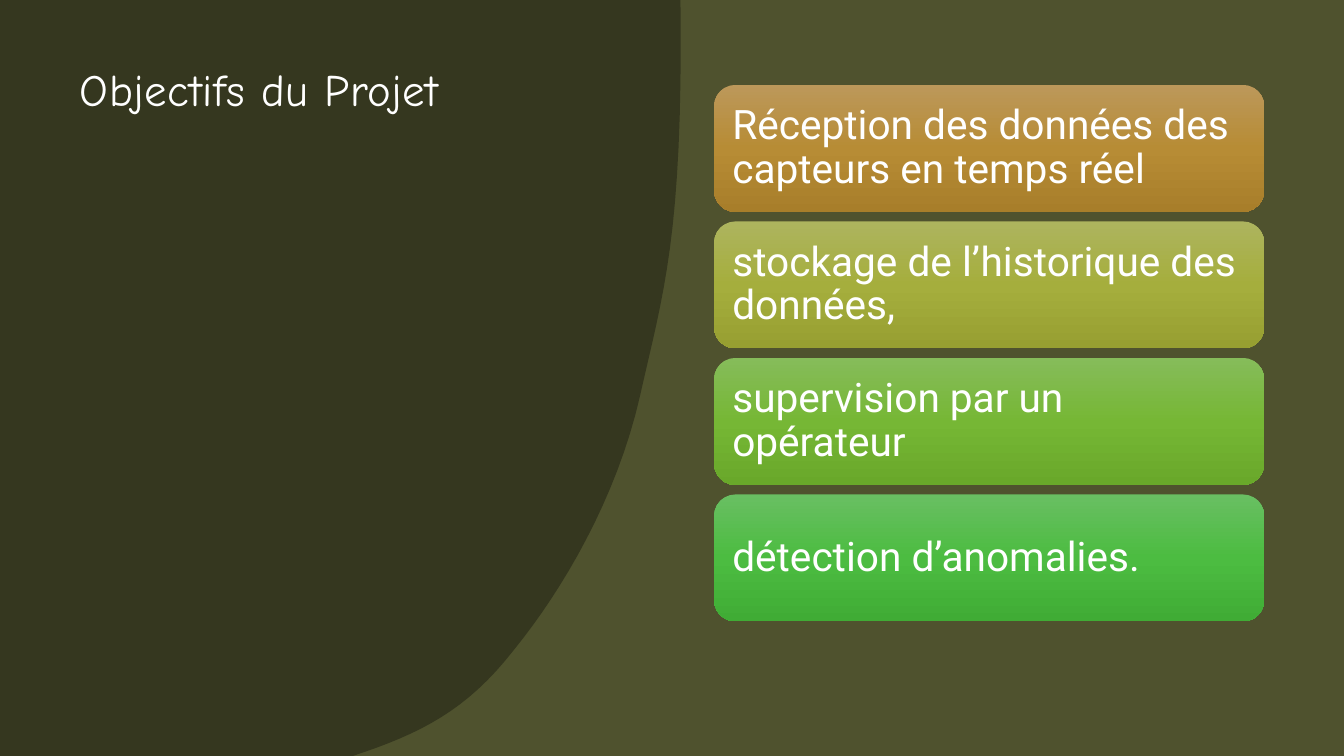
from copy import deepcopy
from dataclasses import dataclass

from pptx import Presentation
from pptx.dml.color import RGBColor
from pptx.enum.shapes import MSO_SHAPE
from pptx.enum.text import MSO_ANCHOR, MSO_AUTO_SIZE, PP_ALIGN
from pptx.oxml.ns import qn
from pptx.shapes.autoshape import Shape
from pptx.slide import Slide
from pptx.text.text import TextFrame
from pptx.util import Cm, Pt

RECTANGLE = MSO_SHAPE.RECTANGLE
ROUNDED = MSO_SHAPE.ROUNDED_RECTANGLE
TOP, MIDDLE = MSO_ANCHOR.TOP, MSO_ANCHOR.MIDDLE
LEFT = PP_ALIGN.LEFT
NO_AUTOFIT = MSO_AUTO_SIZE.NONE

WHITE = RGBColor(0xFF, 0xFF, 0xFF)
DARK_OLIVE = RGBColor(0x35, 0x37, 0x1F)
OLIVE = RGBColor(0x4F, 0x52, 0x2E)
OCHRES = (RGBColor(0xBC, 0x98, 0x5A), RGBColor(0xB7, 0x8C, 0x35), RGBColor(0xA8, 0x7E, 0x2A))
LIMES = (RGBColor(0xAD, 0xB4, 0x5E), RGBColor(0xA5, 0xAE, 0x3D), RGBColor(0x97, 0x9F, 0x31))
LEAVES = (RGBColor(0x86, 0xBC, 0x5A), RGBColor(0x76, 0xB7, 0x35), RGBColor(0x69, 0xA8, 0x2A))
GREENS = (RGBColor(0x69, 0xBF, 0x62), RGBColor(0x4C, 0xBC, 0x41), RGBColor(0x40, 0xAC, 0x35))

SLIDE_WIDTH, SLIDE_HEIGHT = Cm(33.87), Cm(19.05)
CARD_LEFT, CARD_TOP = 18.0, 2.14
CARD_WIDTH, CARD_HEIGHT, CARD_PITCH = 13.86, 3.2, 3.44
CURVE_STEPS = 16

Point = tuple[float, float]


@dataclass(frozen=True)
class Objective:
    text: str
    shades: tuple[RGBColor, RGBColor, RGBColor]


@dataclass(frozen=True)
class Curve:
    start: Point
    control_out: Point
    control_in: Point
    end: Point

    def at(self, t: float) -> Point:
        u = 1 - t
        weights = (u**3, 3 * u * u * t, 3 * u * t * t, t**3)
        corners = (self.start, self.control_out, self.control_in, self.end)
        x, y = (sum(w * c[axis] for w, c in zip(weights, corners)) for axis in (0, 1))
        return x, y


OBJECTIVES = (
    Objective("Réception des données des capteurs en temps réel", OCHRES),
    Objective("stockage de l’historique des données,", LIMES),
    Objective("supervision par un opérateur", LEAVES),
    Objective("détection d’anomalies.", GREENS),
)

PANEL_EDGE = (
    Curve((17.15, 0), (17.22, 5.97), (16.71, 7.39), (16.13, 9.98)),
    Curve((16.13, 9.98), (15.54, 12.57), (14.17, 14.88), (12.95, 16.38)),
    Curve((12.95, 16.38), (11.76, 17.91), (10.59, 18.49), (8.89, 19.05)),
)


def write_text(frame: TextFrame, text: str, *, font: str, size: float,
               line_spacing: float, anchor: MSO_ANCHOR, margin: float = 0,
               tracking: float = 0) -> None:
    frame.word_wrap = True
    frame.auto_size = NO_AUTOFIT
    frame.vertical_anchor = anchor
    frame.margin_left = frame.margin_right = Cm(margin)
    frame.margin_top = frame.margin_bottom = Cm(margin)
    paragraph = frame.paragraphs[0]
    paragraph.alignment = LEFT
    paragraph.line_spacing = line_spacing
    run = paragraph.add_run()
    run.text = text
    run.font.name = font
    run.font.size = Pt(size)
    run.font.color.rgb = WHITE
    if tracking:
        run.font._element.set("spc", str(round(tracking * 100)))


def paint_flat(shape: Shape, color: RGBColor) -> None:
    shape.shadow.inherit = False
    shape.fill.solid()
    shape.fill.fore_color.rgb = color
    shape.line.fill.background()


def paint_gradient(shape: Shape, shades: tuple[RGBColor, ...]) -> None:
    shape.shadow.inherit = False
    shape.line.fill.background()
    shape.fill.gradient()
    shape.fill.gradient_angle = 270
    stop_list = shape._element.spPr.find(".//" + qn("a:gsLst"))
    stop_list.append(deepcopy(stop_list[0]))
    for index, (stop, shade) in enumerate(zip(shape.fill.gradient_stops, shades)):
        stop.position = index / (len(shades) - 1)
        stop.color.rgb = shade


def draw_backdrop(slide: Slide) -> None:
    slide.background.fill.solid()
    slide.background.fill.fore_color.rgb = DARK_OLIVE
    paint_flat(slide.shapes.add_shape(RECTANGLE, 0, 0, SLIDE_WIDTH, SLIDE_HEIGHT), OLIVE)
    edge = [PANEL_EDGE[0].start]
    for curve in PANEL_EDGE:
        edge += [curve.at(step / CURVE_STEPS) for step in range(1, CURVE_STEPS + 1)]
    outline = slide.shapes.build_freeform(0, 0)
    outline.add_line_segments([(Cm(x), Cm(y)) for x, y in edge] + [(0, SLIDE_HEIGHT)])
    paint_flat(outline.convert_to_shape(), DARK_OLIVE)


def place_title(slide: Slide, text: str) -> None:
    title = slide.shapes.title
    title.left, title.top = Cm(2.01), Cm(1.73)
    title.width, title.height = Cm(13.94), Cm(4.11)
    write_text(title.text_frame, text, font="Comic Neue", size=32,
               line_spacing=0.88, anchor=TOP, tracking=0.4)
    slide.shapes._spTree.append(title._element)


def draw_objective(slide: Slide, objective: Objective, row: int) -> None:
    card = slide.shapes.add_shape(
        ROUNDED, Cm(CARD_LEFT), Cm(CARD_TOP + row * CARD_PITCH),
        Cm(CARD_WIDTH), Cm(CARD_HEIGHT))
    paint_gradient(card, objective.shades)
    write_text(card.text_frame, objective.text, font="Roboto", size=29,
               line_spacing=0.9, anchor=MIDDLE, margin=0.3)


def main() -> None:
    presentation = Presentation()
    presentation.slide_width, presentation.slide_height = SLIDE_WIDTH, SLIDE_HEIGHT
    slide = presentation.slides.add_slide(presentation.slide_layouts[5])
    draw_backdrop(slide)
    place_title(slide, "Objectifs du Projet")
    for row, objective in enumerate(OBJECTIVES):
        draw_objective(slide, objective, row)
    presentation.save("out.pptx")


if __name__ == "__main__":
    main()
